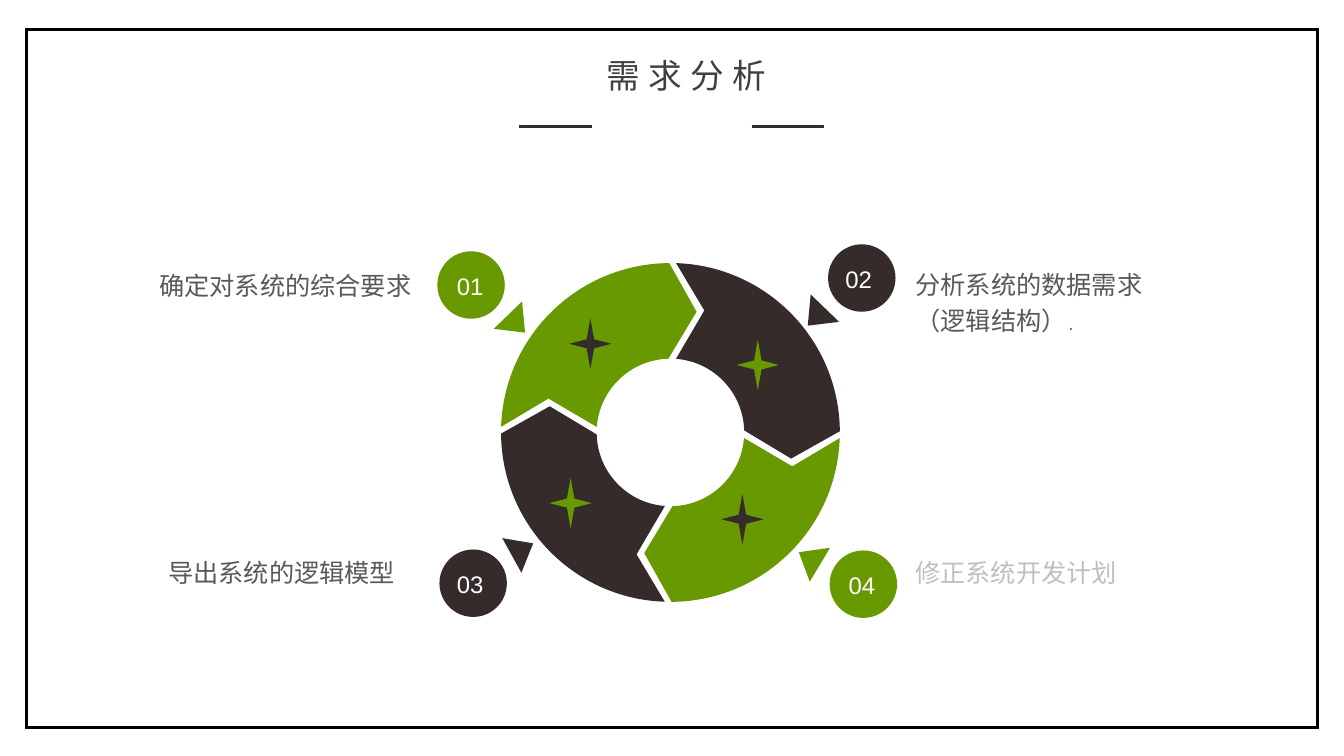
import math

import pptx
import pptx.dml.color
import pptx.enum.shapes
import pptx.enum.text
import pptx.oxml
import pptx.oxml.ns
import pptx.util

Pt = pptx.util.Pt
Shape = pptx.enum.shapes.MSO_SHAPE
Anchor = pptx.enum.text.MSO_ANCHOR
Align = pptx.enum.text.PP_ALIGN

COLORS = {
    "green": "689901", "brown": "352B2B", "white": "FFFFFF", "black": "000000",
    "title": "404040", "body": "595959", "muted": "BFBFBF",
}
CJK_FONT = "Noto Sans CJK SC"
UNITS = 100  # freeform units per point


def color(name):
    return pptx.dml.color.RGBColor.from_string(COLORS[name])


def element(tag, attributes=""):
    return pptx.oxml.parse_xml(f'<a:{tag} {pptx.oxml.ns.nsdecls("a")} {attributes}/>')


def paint(shape, fill):
    shape.shadow.inherit = False
    shape.fill.solid()
    shape.fill.fore_color.rgb = color(fill)
    shape.line.fill.background()


def add_preset(slide, kind, box, fill):
    shape = slide.shapes.add_shape(kind, *map(Pt, box))
    paint(shape, fill)
    return shape


def add_outline(slide, center, points, degrees, fill, curves=()):
    """Draw a closed outline turned about the center.

    Each index in curves marks the first control point of a cubic curve.
    """
    cos, sin = math.cos(math.radians(degrees)), math.sin(math.radians(degrees))
    turned = [(round((center[0] + x * cos - y * sin) * UNITS),
               round((center[1] + x * sin + y * cos) * UNITS)) for x, y in points]
    builder = slide.shapes.build_freeform(*turned[0], scale=Pt(1) / UNITS)
    builder.add_line_segments(turned[1:], close=True)
    shape = builder.convert_to_shape()
    paint(shape, fill)
    lines = list(shape._element.iter(pptx.oxml.ns.qn("a:lnTo")))
    for first in curves:
        curve = element("cubicBezTo")
        lines[first - 1].addprevious(curve)
        for line in lines[first - 1:first + 2]:
            curve.append(line[0])
            line.getparent().remove(line)


def add_text(slide, box, runs, fill, align=Align.LEFT, spacing=1.2, letter_gap=0, **frame_format):
    """Runs are (text, size, font) tuples in one paragraph."""
    frame = slide.shapes.add_textbox(*map(Pt, box)).text_frame
    for name, value in {"word_wrap": True, **frame_format}.items():
        setattr(frame, name, value)
    paragraph = frame.paragraphs[0]
    paragraph.alignment, paragraph.line_spacing = align, spacing
    for text, size, font in runs:
        run = paragraph.add_run()
        run.text = text
        for name, value in {"size": Pt(size), "name": font}.items():
            setattr(run.font, name, value)
        run.font.color.rgb = color(fill)
        properties = run.font._element
        properties.find(pptx.oxml.ns.qn("a:latin")).addnext(
            element("ea", f'typeface="{CJK_FONT}"'))
        if letter_gap:
            properties.set("spc", str(letter_gap * 100))


def add_frame(slide, box):
    border = add_preset(slide, Shape.RECTANGLE, box, "white")
    border.line.color.rgb = color("black")
    border.line.width = Pt(2.25)
    border.line._ln.append(element("miter", 'lim="800000"'))


def add_title(slide, box, text):
    left, top, width, height = box
    # Rules below the title
    for offset in (10, 176.2):
        start = left + offset
        rule = slide.shapes.add_connector(pptx.enum.shapes.MSO_CONNECTOR.STRAIGHT, Pt(start),
                                          Pt(top + 54.3), Pt(start + 52), Pt(top + 54.3))
        rule.line.color.rgb = color("brown")
        rule.line.width = Pt(2)
        rule._element.spPr.append(element("effectLst"))
    add_text(slide, box, [(text, 24, CJK_FONT)], "title", Align.CENTER, 1, 6)


def arc(radius, start, end):
    """Start, two control points and end of a cubic curve along a circle."""
    start, end = math.radians(start), math.radians(end)
    reach = 4 / 3 * math.tan((end - start) / 4)
    first, last = [(radius * math.cos(angle), radius * math.sin(angle)) for angle in (start, end)]
    return [first, (first[0] - reach * first[1], first[1] + reach * first[0]),
            (last[0] + reach * last[1], last[1] - reach * last[0]), last]


def add_ring(slide, box):
    """Four arrow segments, each a quarter turn from the last, with a star on each."""
    left, top, size, _ = box
    center = (left + size / 2, top + size / 2)
    segment = ([(18.7, -86.2)] + arc(size / 2, -90.4, -178.1)
               + [(-87.1, -24.2)] + arc(52.7, -175.7, -91.6))
    star_offsets = [(-57.2, -63.3), (62.4, -48.2), (51.4, 62), (-71.3, 50.5)]
    for quarter, (x, y) in enumerate(star_offsets):
        fill, star_fill = ("green", "brown") if quarter % 2 == 0 else ("brown", "green")
        add_outline(slide, center, segment, 90 * quarter, fill, curves=(2, 7))
        add_preset(slide, Shape.STAR_4_POINT,
                   (center[0] + x - 15.1, center[1] + y - 18, 30.2, 36), star_fill)


def add_badge(slide, box, number, fill, degrees, mirror, number_shift):
    """Numbered circle with a pointer turned towards the ring."""
    left, top, size, _ = box
    center = (left + size / 2, top + size / 2)
    pointer = [(mirror * x, y) for x, y in [(36.5, 11.7), (16.2, 31.3), (38.6, 34)]]
    add_preset(slide, Shape.OVAL, box, fill)
    add_outline(slide, center, pointer, degrees, fill)
    add_text(slide, (center[0] + number_shift - 23.4, center[1] - 19.3, 46.8, 36),
             [(number, 17.1, "Arial")], "white", Align.CENTER,
             vertical_anchor=Anchor.MIDDLE, margin_left=0, margin_right=0,
             margin_top=Pt(6.5), margin_bottom=Pt(6.5))


def add_label(slide, box, runs, fill):
    add_text(slide, box, runs, fill,
             margin_left=0, margin_right=0, margin_top=0, margin_bottom=0)


def main():
    presentation = pptx.Presentation()
    presentation.slide_width, presentation.slide_height = Pt(960), Pt(540)
    slide = presentation.slides.add_slide(presentation.slide_layouts[6])

    add_frame(slide, (18.7, 20.9, 922.3, 499))

    # Circle position, number, fill, pointer turn, mirroring, number shift
    badges = [
        ((592.6, 393.2), "04", "green", 165, 1, -1),
        ((313.9, 392.5), "03", "brown", -75, 1, -2.2),
        ((591.5, 174.5), "02", "brown", 0, -1, -2.2),
        ((312.4, 179.5), "01", "green", 0, 1, -0.7),
    ]
    for position, *details in badges:
        add_badge(slide, (*position, 48.2, 48.2), *details)

    # Requirement labels
    labels = [
        ((113.8, 188.6, 186.5, 26), [("确定对系统的综合要求", 18, "Courier New")], "body"),
        ((120.2, 393.8, 180, 26), [("导出系统的逻辑模型", 18, "Courier New")], "body"),
        ((654, 187.9, 177.8, 52.6), [("分析系统的数据需求（逻辑结构）", 18, "Courier New"),
                                     (".", 9.9, "Courier New")], "body"),
        ((653.8, 393.8, 157, 26), [("修正系统开发计划", 18, "Arial")], "muted"),
    ]
    for box, runs, fill in labels:
        add_label(slide, box, runs, fill)

    add_ring(slide, (357.9, 187.9, 242, 242))
    add_title(slide, (360.7, 36, 258.5, 36), "需求分析")
    presentation.save("out.pptx")


if __name__ == "__main__":
    main()
